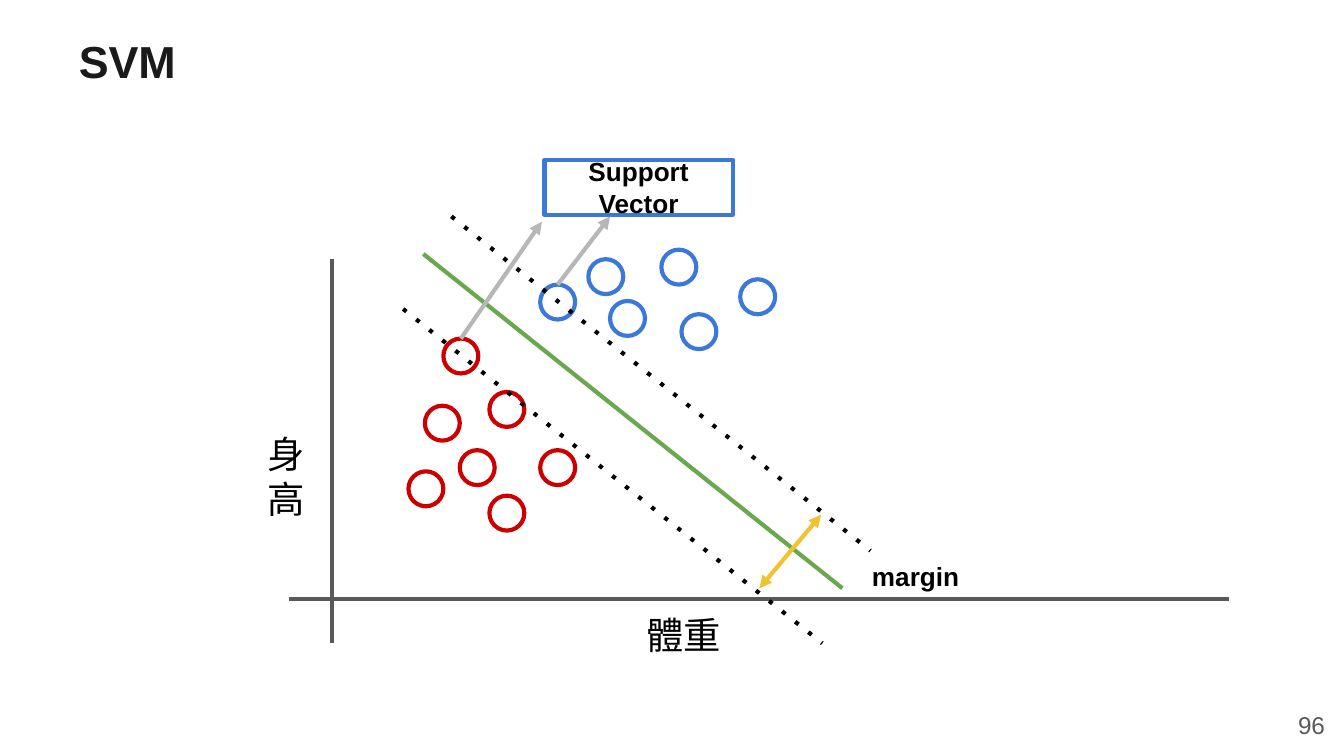
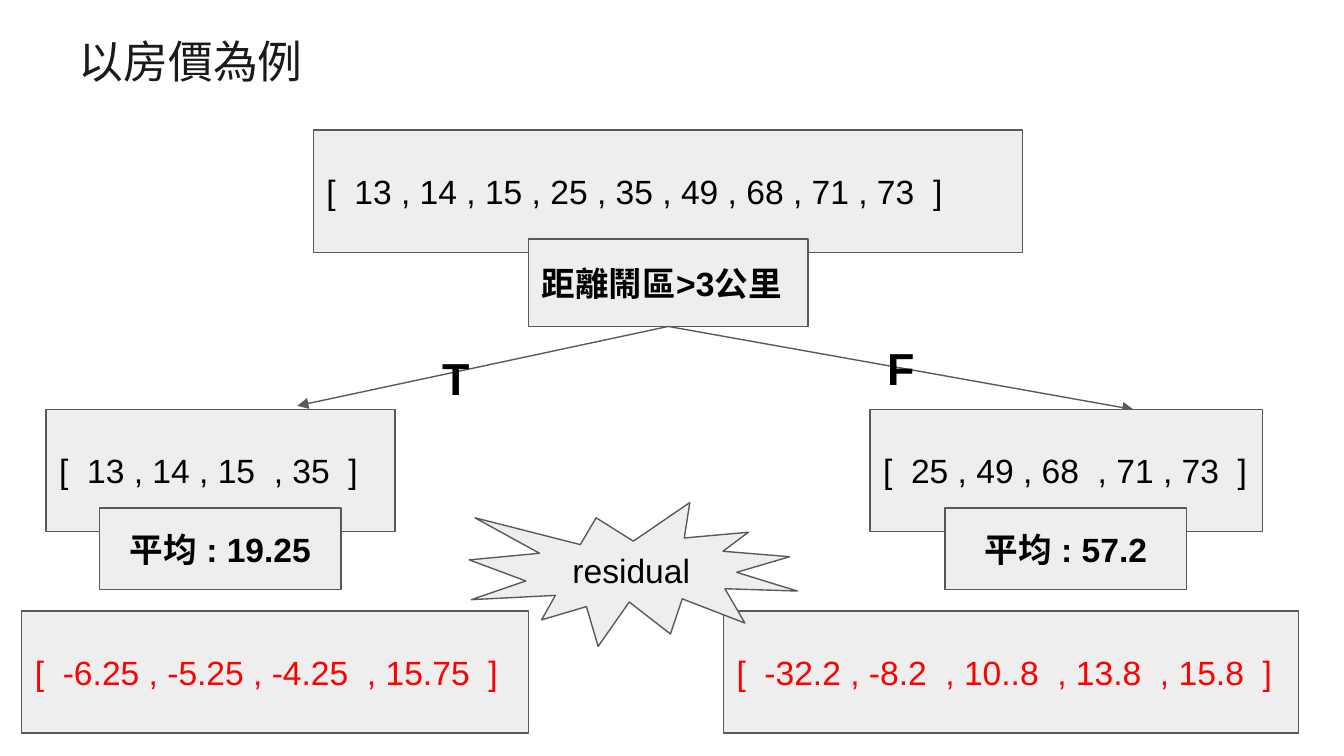
"""Build two lecture slides: an SVM margin plot and a house-price tree."""
from lxml import etree
from pptx import Presentation
from pptx import util as u
from pptx.dml.color import RGBColor
from pptx.enum import shapes, text
from pptx.oxml import ns

INK = RGBColor(0x1A, 0x1A, 0x1A)
BLACK = RGBColor(0x00, 0x00, 0x00)
GREY = RGBColor(0x59, 0x59, 0x59)
SILVER = RGBColor(0xB7, 0xB7, 0xB7)
PALE = RGBColor(0xEE, 0xEE, 0xEE)
RED = RGBColor(0xCC, 0x00, 0x00)
ALERT = RGBColor(0xFF, 0x00, 0x00)
BLUE = RGBColor(0x3C, 0x78, 0xD8)
GREEN = RGBColor(0x6A, 0xA8, 0x4F)
GOLD = RGBColor(0xF1, 0xC2, 0x32)

FACE = "Arial"
THICK, THIN = 2.25, 0.75
FORM = shapes.MSO_SHAPE
MID = text.MSO_ANCHOR.MIDDLE
TOP = text.MSO_ANCHOR.TOP
LEFT, RIGHT, CENTER = (
    text.PP_ALIGN.LEFT, text.PP_ALIGN.RIGHT, text.PP_ALIGN.CENTER)
PAD = u.Cm(0.25)
FRAME = dict(word_wrap=True, margin_left=PAD, margin_right=PAD,
             margin_top=PAD, margin_bottom=PAD)


def apply(item, vals):
    """Set each named value on the item."""
    for name, val in vals.items():
        setattr(item, name, val)


def place(box, x, y, w, h):
    """Return the lengths of a part that lies at x, y inside a box."""
    return [u.Cm(n) for n in (box[0] + x, box[1] + y, w, h)]


def write(shape, words, size, color=BLACK, bold=False, align=LEFT,
          anchor=TOP):
    """Fill a shape with one formatted paragraph."""
    frame = shape.text_frame
    apply(frame, FRAME | dict(vertical_anchor=anchor))
    para = frame.paragraphs[0]
    para.alignment = align
    run = para.add_run()
    run.text = words
    apply(run.font, dict(name=FACE, size=u.Pt(size), bold=bold))
    run.font.color.rgb = color
    props = run._r.get_or_add_rPr()
    etree.SubElement(props, ns.qn("a:ea")).set("typeface", FACE)


def label(slide, box, part, words, size, **form):
    """Add a text box at a part of the box."""
    write(slide.shapes.add_textbox(*place(box, *part)), words, size, **form)


def draw(slide, box, part, kind, edge, width, fill=None):
    """Add an outlined preset shape."""
    shape = slide.shapes.add_shape(kind, *place(box, *part))
    shape.shadow.inherit = False
    if fill is None:
        shape.fill.background()
    else:
        shape.fill.solid()
        shape.fill.fore_color.rgb = fill
    shape.line.color.rgb = edge
    shape.line.width = u.Pt(width)
    return shape


def link(slide, box, start, end, color, width=THICK, **ends):
    """Add a straight line; ends name its dash and arrowheads."""
    points = [u.Cm(box[i % 2] + n) for i, n in enumerate((*start, *end))]
    line = slide.shapes.add_connector(shapes.MSO_CONNECTOR.STRAIGHT, *points)
    line.line.color.rgb = color
    line.line.width = u.Pt(width)
    edge = line.line._get_or_add_ln()
    for tag, val in ends.items():
        key = "val" if tag == "prstDash" else "type"
        etree.SubElement(edge, ns.qn("a:" + tag)).set(key, val)
    etree.SubElement(line._element.spPr, ns.qn("a:effectLst"))


def title(slide, box, words, bold=False):
    """Write the slide title."""
    label(slide, box, (0, 0, *box[2:]), words, 24, color=INK, bold=bold)


def footer(slide, box, number):
    """Write the page number."""
    label(slide, box, (0, 0, *box[2:]), number, 13, color=GREY, align=RIGHT)


def plot(slide, box):
    """Draw the two classes, the dividing line and its margin."""
    size = 0.66
    reds = [(3.58, 3.38), (3.23, 4.65), (4.45, 4.39), (3.89, 5.49),
            (5.41, 5.49), (2.92, 5.89), (4.45, 6.35)]
    blues = [(5.41, 2.36), (6.32, 1.88), (6.73, 2.67), (7.7, 1.7),
             (8.08, 2.92), (9.19, 2.26)]
    link(slide, box, (1.47, 1.88), (1.47, 9.14), GREY)
    link(slide, box, (0.66, 8.31), (18.42, 8.31), GREY)
    label(slide, box, (0, 4.88, 1.73, 1.04), "身高", 20)
    label(slide, box, (7.16, 8.31, 13.4, 1.9), "體重", 20)
    for color, dots in ((RED, reds), (BLUE, blues)):
        for dot in dots:
            draw(slide, box, (*dot, size, size), FORM.OVAL, color, THICK)
    dash = dict(prstDash="dot")
    for x, y, color, ends in ((3.2, 1.78, GREEN, {}),
                              (2.82, 2.82, BLACK, dash),
                              (3.73, 1.07, BLACK, dash)):
        link(slide, box, (x, y), (x + 7.92, y + 6.32), color, **ends)
    link(slide, box, (9.55, 8.1), (10.72, 6.71), GOLD,
         headEnd="triangle", tailEnd="triangle")
    label(slide, box, (11.43, 7.32, 3.56, 0.66), "margin", 14, bold=True)
    name = draw(slide, box, (5.49, 0, 3.56, 1.04), FORM.RECTANGLE, BLUE,
                THICK)
    write(name, "Support Vector", 14, bold=True, align=CENTER, anchor=MID)
    for (x, y), tip in ((reds[0], (5.44, 1.17)), (blues[0], (6.73, 1.07))):
        link(slide, box, (x + size / 2, y), tip, SILVER, tailEnd="triangle")


def card(slide, box, part, words, kind=FORM.RECTANGLE, **form):
    """Add a pale shape holding text."""
    shape = draw(slide, box, part, kind, GREY, THIN, PALE)
    write(shape, words, 18, anchor=MID, **form)


def branch(slide, box, tip, mark, spot, node, mean, rest):
    """Draw one side of the split: arrow, values, mean and residuals."""
    tall = 2.31
    link(slide, box, (12.22, 3.71), tip, GREY, THIN, tailEnd="triangle")
    x, wide, words = node
    card(slide, box, (x, 5.28, wide, tall), words)
    label(slide, box, (*spot, 1.83, 1.65), mark, 24, bold=True,
          align=CENTER, anchor=MID)
    x, words = mean
    card(slide, box, (x, 7.14, 4.57, 1.55), words, bold=True, align=CENTER)
    x, wide, words = rest
    card(slide, box, (x, 9.09, wide, tall), words, color=ALERT)


def tree(slide, box):
    """Draw the price list, its split and the residuals."""
    card(slide, box, (5.51, 0, 13.41, 2.31),
         "[  13 , 14 , 15 , 25 , 35 , 49 , 68 , 71 , 73  ]")
    card(slide, box, (9.58, 2.06, 5.28, 1.65), "距離鬧區>3公里", bold=True)
    branch(slide, box, (5.21, 5.21), "T", (7.29, 3.86),
           (0.46, 6.6, "[  13 , 14 , 15  , 35  ]"),
           (1.47, "平均 : 19.25"),
           (0, 9.58, "[  -6.25 , -5.25 , -4.25  , 15.75  ]"))
    branch(slide, box, (21.01, 5.28), "F", (15.7, 3.66),
           (16.03, 7.42, "[  25 , 49 , 68  , 71 , 73  ]"),
           (17.45, "平均 : 57.2"),
           (13.26, 10.87, "[  -32.2 , -8.2  , 10..8  , 13.8  , 15.8  ]"))
    card(slide, box, (8.46, 7.04, 6.2, 2.72), "residual",
         kind=FORM.EXPLOSION1, align=CENTER)


def main():
    """Build and save the deck."""
    deck = Presentation()
    apply(deck, dict(slide_width=u.Cm(25.4), slide_height=u.Cm(14.29)))
    blank = deck.slide_layouts[6]
    head = (1.24, 0.38, 22.63, 1.65)

    page = deck.slides.add_slide(blank)
    title(page, head, "SVM", bold=True)
    plot(page, (4.8, 3.02))
    footer(page, (23.77, 13.18, 1.52, 1.09), "96")

    page = deck.slides.add_slide(blank)
    title(page, head, "以房價為例")
    tree(page, (0.41, 2.46))
    deck.save("out.pptx")


if __name__ == "__main__":
    main()
